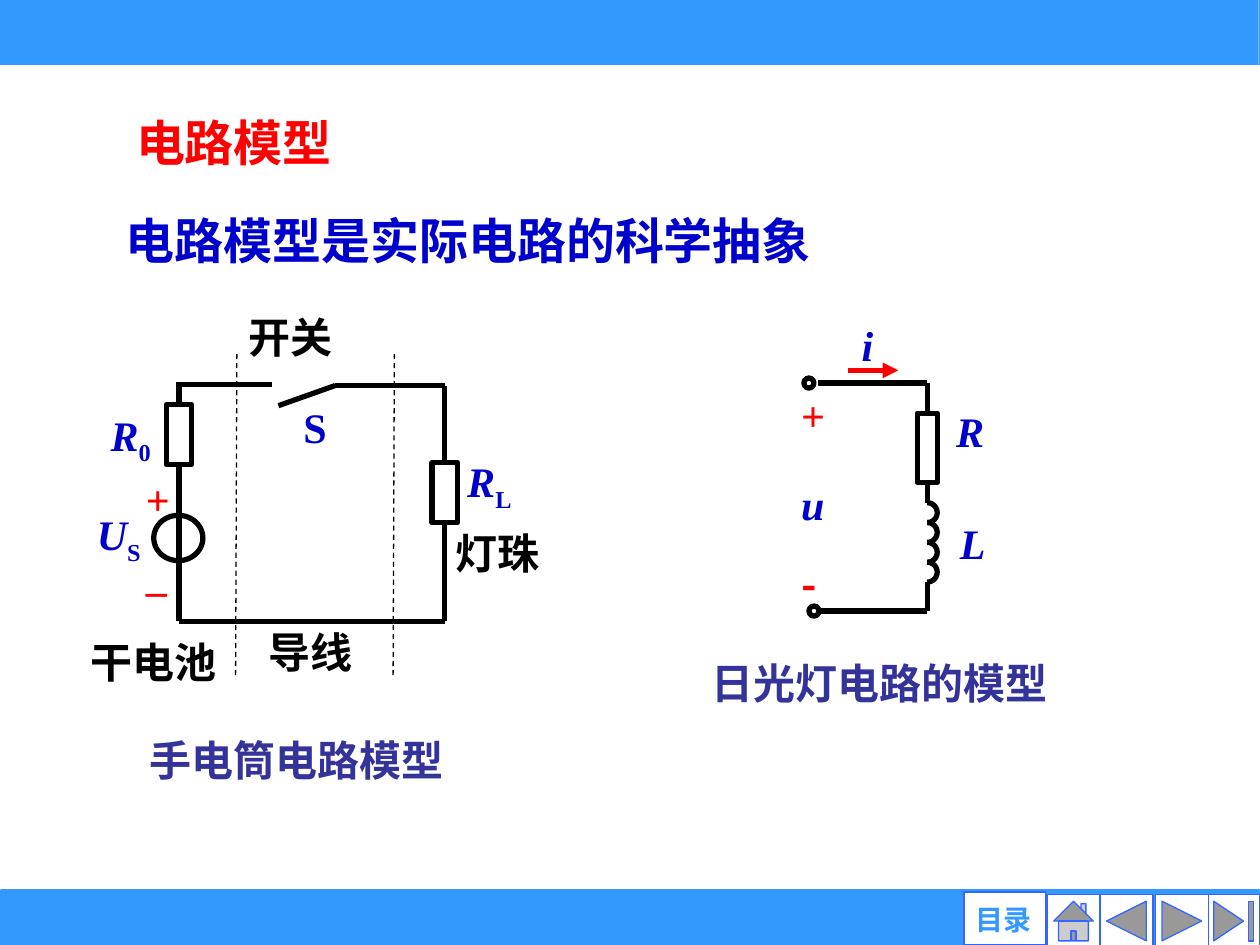
from math import cos, pi, sin

from lxml.etree import SubElement
from pptx import Presentation
from pptx.dml.color import RGBColor
from pptx.enum.dml import MSO_LINE
from pptx.enum.shapes import MSO_CONNECTOR, MSO_SHAPE as SHAPE
from pptx.enum.text import MSO_ANCHOR as ANCHOR, PP_ALIGN as ALIGN
from pptx.oxml.ns import qn
from pptx.util import Emu, Pt

PX = 9144
SKY = RGBColor(0x33, 0x99, 0xFF)
EDGE = RGBColor(0x33, 0x66, 0xFF)
RED = RGBColor(0xFF, 0, 0)
BLUE = RGBColor(0, 0, 0xCC)
INDIGO = RGBColor(0x33, 0x33, 0x99)
BLACK = RGBColor(0, 0, 0)
WHITE = RGBColor(0xFF, 0xFF, 0xFF)
SERIF = "Times New Roman"
CJK = "Noto Sans CJK SC"


def px(*values):
    return [Emu(round(v * PX)) for v in values]


def put_text(tf, text, sub="", size=24, color=BLUE, font=SERIF, italic=False,
             align=ALIGN.LEFT, spacing=None):
    for i, line in enumerate(text.split("\n")):
        p = tf.add_paragraph() if i else tf.paragraphs[0]
        p.alignment = align
        if spacing:
            p.line_spacing = spacing
        for part, is_sub in ((line, False), (sub, True)):
            if not part:
                continue
            r = p.add_run()
            r.text = part
            f = r.font
            f.name, f.size, f.bold = font, Pt(size), True
            f.italic = italic and not is_sub
            f.color.rgb = color
            rPr = r._r.get_or_add_rPr()
            SubElement(rPr, qn("a:ea")).set("typeface", CJK)
            if is_sub:
                rPr.set("baseline", "-25000")


class SlideKit:
    def __init__(self, prs):
        self.s = prs.slides.add_slide(prs.slide_layouts[5])
        self.ink = BLACK
        self.stroke = 3

    def frame(self, tf, inset=(10, 5), anchor=ANCHOR.TOP):
        tf.word_wrap = True
        tf.vertical_anchor = anchor
        tf.margin_left, tf.margin_top = tf.margin_right, tf.margin_bottom = px(*inset)
        return tf

    def title(self, box, text, **fmt):
        sp = self.s.shapes.title
        sp.left, sp.top, sp.width, sp.height = px(*box)
        put_text(self.frame(sp.text_frame, anchor=ANCHOR.MIDDLE), text, **fmt)

    def text(self, box, text, inset=(10, 5), anchor=ANCHOR.TOP, **fmt):
        sp = self.s.shapes.add_textbox(*px(*box))
        put_text(self.frame(sp.text_frame, inset, anchor), text, **fmt)

    def style(self, sp, fill, line, width):
        sp.shadow.inherit = False
        if fill is None:
            sp.fill.background()
        else:
            sp.fill.solid()
            sp.fill.fore_color.rgb = fill
        sp.line.color.rgb = line or self.ink
        sp.line.width = Pt(width or self.stroke)

    def shape(self, kind, box, fill=None, line=None, width=None):
        sp = self.s.shapes.add_shape(kind, *px(*box))
        self.style(sp, fill, line, width)

    def line(self, *ends, color=None, width=None, dash=False, arrow=False):
        sp = self.s.shapes.add_connector(MSO_CONNECTOR.STRAIGHT, *px(*ends))
        sp.line.color.rgb = color or self.ink
        sp.line.width = Pt(width or self.stroke)
        if dash:
            sp.line.dash_style = MSO_LINE.DASH
        if arrow:
            SubElement(sp.line._get_or_add_ln(), qn("a:tailEnd")).set("type", "triangle")
        SubElement(sp._element.spPr, qn("a:effectLst"))

    def wire(self, *points):
        for a, b in zip(points, points[1:]):
            self.line(*a, *b)

    def coil_turn(self, x, y, radius, steps=16):
        points = [px(x + radius * sin(pi * i / steps),
                     y + radius * (1 - cos(pi * i / steps)))
                  for i in range(steps + 1)]
        fb = self.s.shapes.build_freeform(*points[0])
        fb.add_line_segments(points[1:], close=False)
        self.style(fb.convert_to_shape(), None, None, None)


def draw_bars(kit):
    kit.shape(SHAPE.RECTANGLE, (1, 708, 999, 42), SKY, SKY, 3)
    buttons = (
        (SHAPE.ACTION_BUTTON_END, 958, 710, 42),
        (SHAPE.ACTION_BUTTON_FORWARD_OR_NEXT, 917, 710, 42),
        (SHAPE.ACTION_BUTTON_BACK_OR_PREVIOUS, 873, 710, 42),
        (SHAPE.ACTION_BUTTON_HOME, 831, 710, 42),
        (SHAPE.ACTION_BUTTON_CUSTOM, 765, 708, 65),
    )
    for kind, x, y, w in buttons:
        kit.shape(kind, (x, y, w, 42), WHITE, EDGE, 0.75)
    kit.text((765, 716, 63, 27), "目录", inset=(0, 0), anchor=ANCHOR.MIDDLE,
             size=16, color=SKY, font="Arial", align=ALIGN.CENTER)
    kit.shape(SHAPE.RECTANGLE, (0, -1, 999, 52), SKY, SKY, 0.1)


def draw_flashlight(kit):
    kit.text((67, 399, 86, 57), "U", sub="S", italic=True)
    kit.text((106, 351, 58, 108), "+\n_", color=RED, spacing=1.5)
    kit.text((361, 357, 75, 54), "R", sub="L", italic=True)
    kit.text((231, 314, 47, 44), "S")
    kit.text((78, 320, 76, 58), "R", sub="0", italic=True)
    kit.shape(SHAPE.OVAL, (122, 409, 39, 36))
    for x, y in ((343, 367), (132, 321)):
        kit.shape(SHAPE.RECTANGLE, (x, y, 20, 48))
    kit.wire((142, 322), (142, 303))
    kit.wire((142, 305), (216, 305))
    kit.wire((142, 370), (142, 493), (353, 493), (353, 414))
    kit.wire((221, 322), (266, 306), (353, 306), (353, 366))
    for x in (187, 312):
        kit.line(x + 1, 281, x, 539, width=0.75, dash=True)
    for x, y, label in ((62, 500, "干电池"), (187, 242, "开关"),
                        (203, 492, "导线"), (352, 414, "灯珠")):
        kit.text((x, y, 125, 51), label, color=BLACK)
    kit.text((109, 578, 297, 51), "手电筒电路模型", color=INDIGO)


def draw_lamp(kit):
    for x, y, label in ((674, 249, "i"), (626, 375, "u"),
                        (749, 317, "R"), (752, 406, "L")):
        kit.text((x, y, 50, 54), label, italic=True)
    kit.text((626, 304, 41, 52), "+", color=RED)
    kit.text((626, 438, 41, 52), "-", color=RED, font=CJK)
    kit.line(673, 294, 713, 294, color=RED, arrow=True)
    kit.wire((649, 304), (736, 304), (736, 399))
    kit.wire((736, 462), (736, 485), (650, 485))
    for x, y in ((638, 300), (642, 481)):
        kit.shape(SHAPE.OVAL, (x, y, 8, 8))
    kit.shape(SHAPE.RECTANGLE, (728, 328, 16, 55), WHITE)
    turns, top, height = 4, 399, 63
    for i in range(turns):
        kit.coil_turn(736, top + i * height / turns, height / turns / 2)
    kit.text((555, 517, 323, 55), "日光灯电路的模型", color=INDIGO)


def main():
    prs = Presentation()
    prs.slide_width, prs.slide_height = px(1000, 750)
    kit = SlideKit(prs)
    draw_bars(kit)
    kit.title((98, 84, 272, 57), "电路模型", size=28, color=RED, font=CJK)
    kit.text((90, 162, 780, 57), "电路模型是实际电路的科学抽象", size=28, font=CJK)
    draw_flashlight(kit)
    draw_lamp(kit)
    prs.save("out.pptx")


if __name__ == "__main__":
    main()
